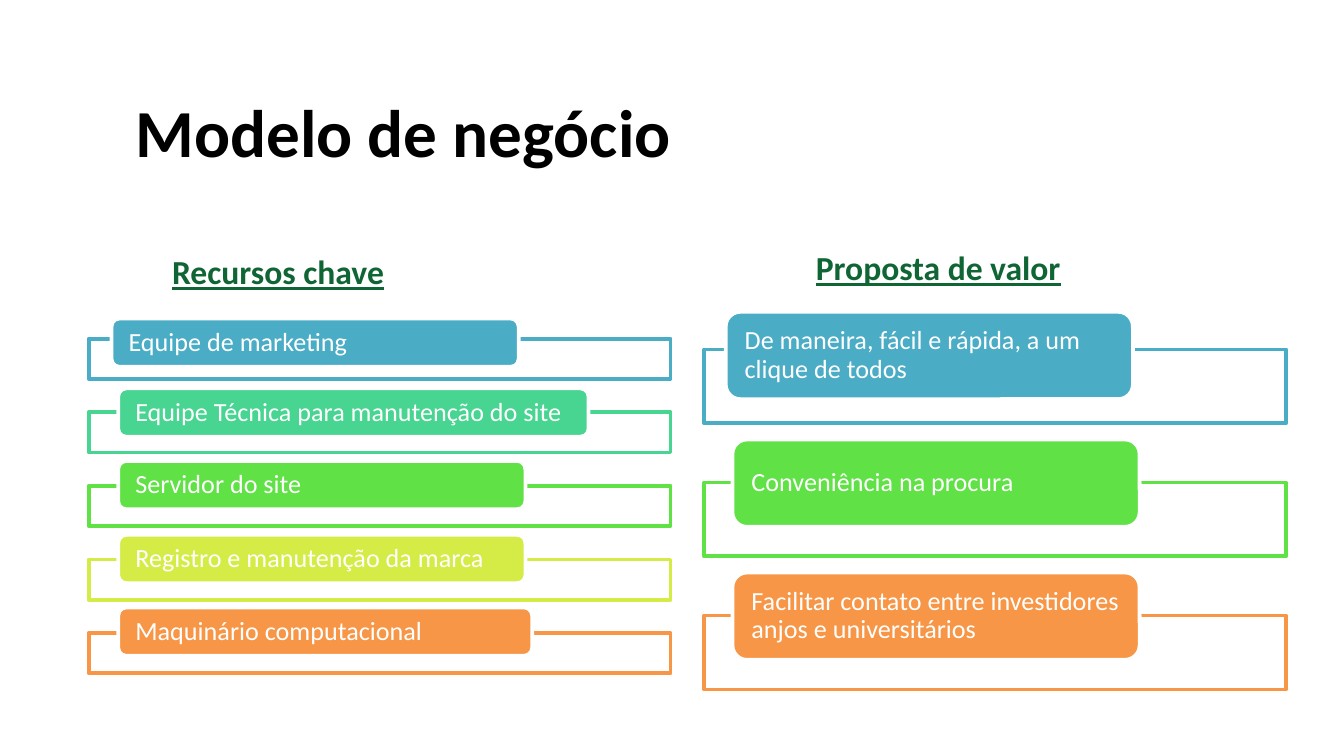
from lxml import etree
from pptx import Presentation
from pptx.dml.color import RGBColor
from pptx.enum import shapes, text
from pptx.oxml.ns import qn
from pptx.util import Inches, Pt

WHITE = RGBColor(0xFF, 0xFF, 0xFF)
BLACK = RGBColor(0x00, 0x00, 0x00)
FOREST = RGBColor(0x10, 0x65, 0x34)
BLUE = RGBColor(0x4B, 0xAC, 0xC6)
TEAL = RGBColor(0x48, 0xD4, 0x91)
GREEN = RGBColor(0x60, 0xE1, 0x46)
LIME = RGBColor(0xD5, 0xEC, 0x46)
ORANGE = RGBColor(0xF7, 0x96, 0x46)

# Label, colour, pill left, pill top, pill width
ASSETS = [
    ("Equipe de marketing", BLUE, 0.83, 2.37, 3.03),
    ("Equipe Técnica para manutenção do site", TEAL, 0.88, 2.89, 3.5),
    ("Servidor do site", GREEN, 0.88, 3.43, 3.03),
    ("Registro e manutenção da marca", LIME, 0.88, 3.98, 3.03),
    ("Maquinário computacional", ORANGE, 0.88, 4.52, 3.08),
]
VALUES = [
    ("De maneira, fácil e rápida, a um clique de todos", BLUE, 5.4, 2.32, 3.03),
    ("Conveniência na procura", GREEN, 5.45, 3.27, 3.03),
    ("Facilitar contato entre investidores anjos e universitários",
     ORANGE, 5.45, 4.26, 3.03),
]


def write(frame, words, color, pads, **font):
    """Fill a text frame; pads are the side and the top/bottom insets."""
    side, edge = map(Inches, pads)
    frame.word_wrap = True
    frame.margin_left = frame.margin_right = side
    frame.margin_top = frame.margin_bottom = edge
    para = frame.paragraphs[0]
    para.alignment = text.PP_ALIGN.LEFT
    run = para.add_run()
    run.text = words
    run.font.color.rgb = color
    for key, value in {"name": "Calibri", **font}.items():
        setattr(run.font, key, value)
    return para


def add_head(slide, words, place, color, pads, **font):
    box = slide.shapes.add_textbox(*map(Inches, place))
    write(box.text_frame, words, color, pads, bold=True, **font)


def add_block(group, kind, place, fill, line):
    block = group.shapes.add_shape(kind, *map(Inches, place))
    block.shadow.inherit = False
    block.fill.solid()
    block.fill.fore_color.rgb = fill
    block.line.color.rgb = line
    block.line.width = Pt(2)
    return block


def add_frame(group, place, color):
    """Add an outlined bar with a slightly see-through white fill."""
    bar = add_block(group, shapes.MSO_SHAPE.RECTANGLE, place, WHITE, color)
    tint = bar.fill._xPr.find(qn("a:solidFill"))[0]
    etree.SubElement(tint, qn("a:alpha"), val="90000")


def add_pill(group, words, place, color):
    kind = shapes.MSO_SHAPE.ROUNDED_RECTANGLE
    pill = add_block(group, kind, place, color, WHITE)
    frame = pill.text_frame
    frame.vertical_anchor = text.MSO_ANCHOR.MIDDLE
    para = write(frame, words, WHITE, (0.11, 0), size=Pt(14))
    para.line_spacing = 0.9


def add_list(slide, items, left, top, step, bar, tall):
    """Stack bars of height bar, each with a pill of height tall."""
    group = slide.shapes.add_group_shape()
    for row, (words, color, x, y, wide) in enumerate(items):
        add_frame(group, (left, top + row * step, 4.33, bar), color)
        add_pill(group, words, (x, y, wide, tall), color)


def main():
    deck = Presentation()
    deck.slide_width = Inches(10)
    deck.slide_height = Inches(10 * 9 / 16)
    slide = deck.slides.add_slide(deck.slide_layouts[6])

    add_head(slide, "Modelo de negócio", (0.91, 0.62, 8.74, 0.71),
             BLACK, (0.1, 0.05), size=Pt(36))
    for words, x, y in [("Recursos chave", 1.23, 1.82),
                        ("Proposta de valor", 6.02, 1.79)]:
        add_head(slide, words, (x, y, 2.45, 0.4), FOREST, (0.05, 0.05),
                 size=Pt(18), underline=True)

    add_list(slide, ASSETS, 0.66, 2.52, 2.19 / 4, 0.3, 0.36)
    add_list(slide, VALUES, 5.24, 2.6, 0.99, 0.55, 0.65)
    deck.save("out.pptx")


if __name__ == "__main__":
    main()
